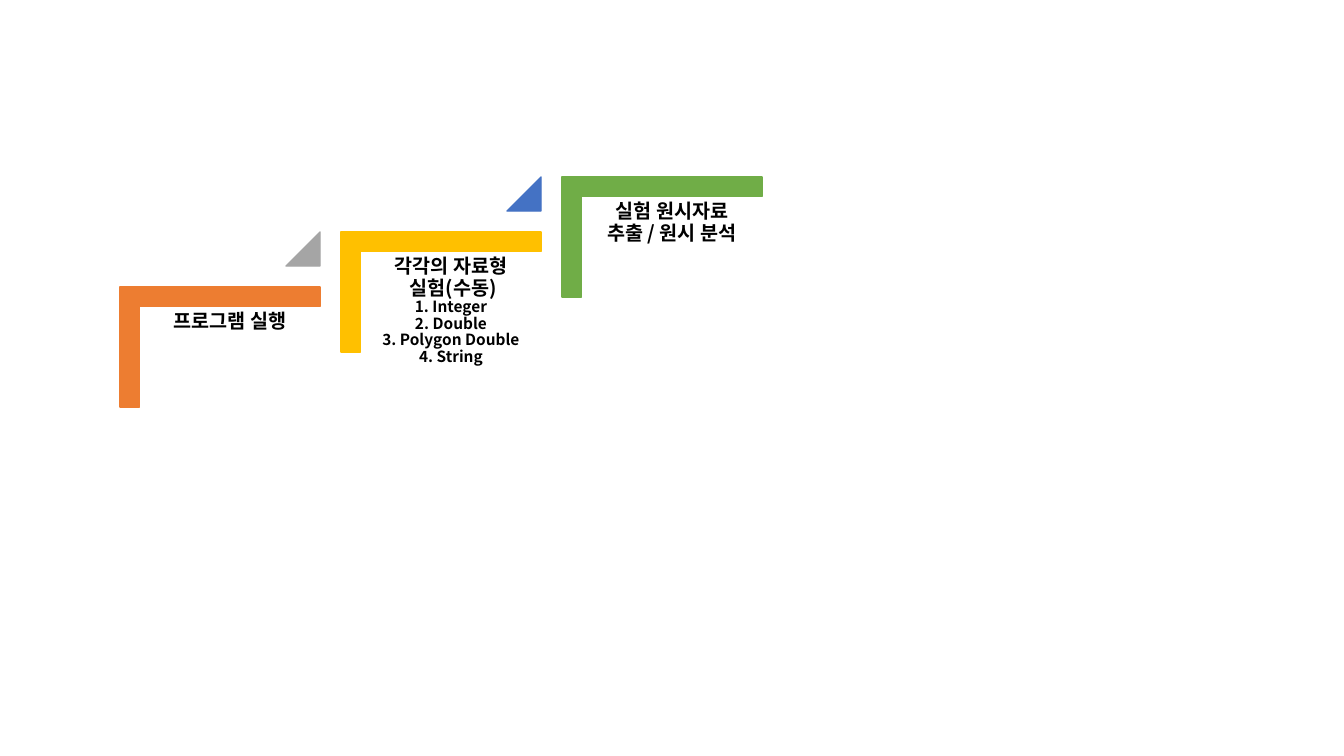
"""Build a slide of three rising steps of a program experiment."""
from typing import Any, NamedTuple

from lxml import etree
from pptx import Presentation
from pptx.dml.color import RGBColor
from pptx.enum.shapes import MSO_SHAPE
from pptx.enum.text import MSO_ANCHOR, PP_ALIGN
from pptx.oxml.ns import qn
from pptx.util import Emu, Pt

CORNER = MSO_SHAPE.CORNER
WEDGE = MSO_SHAPE.ISOSCELES_TRIANGLE
TOP = MSO_ANCHOR.TOP
CENTER = PP_ALIGN.CENTER

BLACK = RGBColor(0x00, 0x00, 0x00)
ORANGE = RGBColor(0xED, 0x7D, 0x31)
GRAY = RGBColor(0xA5, 0xA5, 0xA5)
GOLD = RGBColor(0xFF, 0xC0, 0x00)
BLUE = RGBColor(0x44, 0x72, 0xC4)
GREEN = RGBColor(0x70, 0xAD, 0x47)

FONT = "Noto Sans CJK KR"
HEAD, ITEM = 14, 11
SCALE = 914400 / 100.8
STEP_X, STEP_Y = 221, -55


class Box(NamedTuple):
    """Left, top, width and height in pixels."""
    left: int
    top: int
    width: int
    height: int

    def move(self, index: int) -> "Box":
        """Shift the box to the step with this index."""
        return Box(self.left + index * STEP_X, self.top + index * STEP_Y,
                   self.width, self.height)

    def emu(self) -> list[Emu]:
        """Return the four lengths in EMU."""
        return [px(value) for value in self]


class Step(NamedTuple):
    """One stair: its colour, lines, and the wedge that leads onward."""
    color: RGBColor
    heads: list[str]
    items: list[str]
    wedge: RGBColor | None


FRAME = Box(160, 247, 120, 200)
LABEL = Box(140, 306, 180, 158)
MARK = Box(286, 232, 34, 34)

STEPS = [
    Step(ORANGE, ["프로그램 실행"], [], GRAY),
    Step(GOLD, ["각각의 자료형", " 실험(수동)"],
         ["1. Integer", "2. Double", "3. Polygon Double", "4. String"], BLUE),
    Step(GREEN, ["실험 원시자료", "추출 / 원시 분석"], [], None),
]


def px(value: int) -> Emu:
    """Turn pixels into EMU."""
    return Emu(round(value * SCALE))


def style(target: Any, values: dict[str, Any]) -> None:
    """Set each named attribute on the target."""
    for name, value in values.items():
        setattr(target, name, value)


def draw_shape(shapes: Any, kind: Any, box: Box, color: RGBColor,
               bends: list[float], turn: int = 0) -> None:
    """Draw a preset shape in one colour."""
    shape = shapes.add_shape(kind, *box.emu())
    style(shape, {"rotation": turn})
    style(shape.shadow, {"inherit": False})
    for index, bend in enumerate(bends):
        shape.adjustments[index] = bend
    shape.fill.solid()
    shape.fill.fore_color.rgb = color
    shape.line.color.rgb = color
    shape.line.width = Pt(1)


def draw_text(shapes: Any, box: Box, step: Step) -> None:
    """Write the lines of a step as one centred paragraph."""
    frame = shapes.add_textbox(*box.emu()).text_frame
    style(frame, {"word_wrap": True, "vertical_anchor": TOP,
                  **{f"margin_{side}": px(6)
                     for side in ("left", "top", "right", "bottom")}})
    para = frame.paragraphs[0]
    style(para, {"alignment": CENTER, "line_spacing": 0.9})
    lines = [(text, HEAD) for text in step.heads]
    lines += [(text, ITEM) for text in step.items]
    last = HEAD
    for index, (text, size) in enumerate(lines):
        if index:
            para.add_line_break()
            gap = para._p.findall(qn("a:br"))[-1]
            etree.SubElement(gap, qn("a:rPr"), sz=str(last * 100), b="1")
        run = para.add_run()
        run.text = text
        style(run.font, {"name": FONT, "size": Pt(size), "bold": True})
        run.font.color.rgb = BLACK
        etree.SubElement(run._r.get_or_add_rPr(), qn("a:ea"), typeface=FONT)
        last = size


def main() -> None:
    """Build and save the deck."""
    deck = Presentation()
    style(deck, {"slide_width": px(1344), "slide_height": px(756)})
    slide = deck.slides.add_slide(deck.slide_layouts[6])
    shapes = slide.shapes.add_group_shape().shapes
    for index, step in enumerate(STEPS):
        draw_shape(shapes, CORNER, FRAME.move(index), step.color,
                   [0.161, 0.161], 90)
        draw_text(shapes, LABEL.move(index), step)
        if step.wedge is not None:
            draw_shape(shapes, WEDGE, MARK.move(index), step.wedge, [1.0])
    deck.save("out.pptx")


main()
